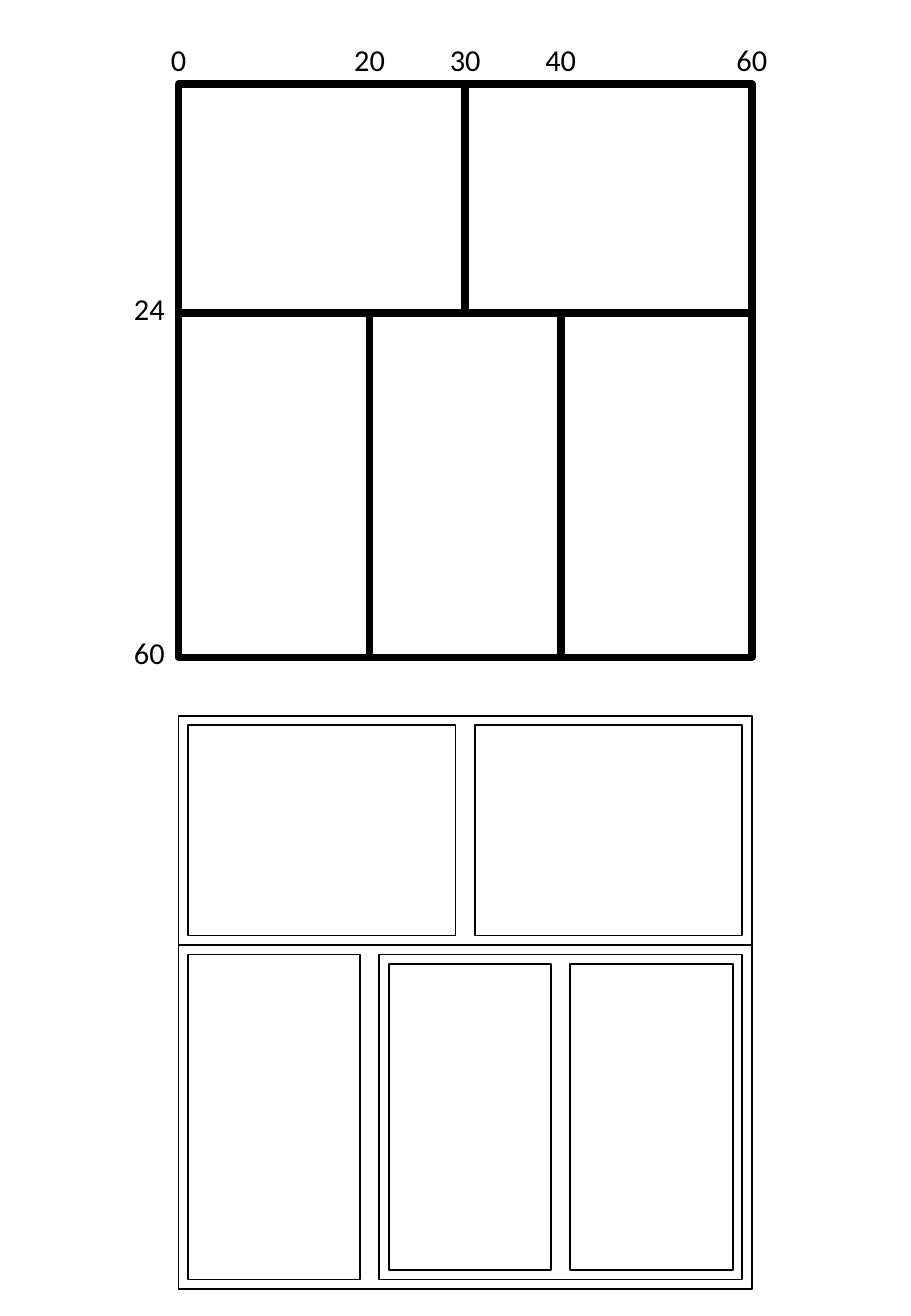
from pptx import Presentation
from pptx.dml.color import RGBColor
from pptx.enum.shapes import MSO_SHAPE
from pptx.enum.text import MSO_ANCHOR, PP_ALIGN
from pptx.util import Inches, Pt

COLORS = {"ink": "000000"}
FONT = "Calibri"

# Cells in grid units: left, top, right, bottom on a 60 by 60 square
GRID_CELLS = [
    (0, 0, 30, 24), (30, 0, 60, 24),
    (0, 24, 20, 60), (20, 24, 40, 60), (40, 24, 60, 60),
]
NESTED_CELLS = [
    (0, 0, 60, 24), (1, 1, 29, 23), (31, 1, 59, 23),
    (0, 24, 60, 60), (1, 25, 19, 59), (21, 25, 59, 59),
    (22, 26, 39, 58), (41, 26, 58, 58),
]
COLUMN_TICKS = [0, 20, 30, 40, 60]
ROW_TICKS = [24, 60]

# Layout in inches
SIDE = 4.72
UNIT = SIDE / 60
LEFT = 1.47
GRID_TOP, NESTED_TOP = 0.69, 5.89
LABEL_WIDTH, LABEL_HEIGHT = 0.46, 0.4
COLUMN_LABEL_Y = GRID_TOP - 0.2
ROW_LABEL_X = LEFT - 0.24
ROW_LABEL_RISE = 0.04

deck = Presentation()
deck.slide_width, deck.slide_height = Inches(7.5), Inches(10.83)
page = deck.slides.add_slide(deck.slide_layouts[6])
ink = RGBColor.from_string(COLORS["ink"])


def add_cells(cells, top_edge, line_width):
    for left, top, right, bottom in cells:
        cell = page.shapes.add_shape(
            MSO_SHAPE.RECTANGLE,
            Inches(LEFT + left * UNIT), Inches(top_edge + top * UNIT),
            Inches((right - left) * UNIT), Inches((bottom - top) * UNIT))
        cell.shadow.inherit = False
        cell.fill.background()
        cell.line.color.rgb = ink
        cell.line.width = Pt(line_width)


def add_label(value, center_x, center_y):
    box = page.shapes.add_textbox(
        Inches(center_x - LABEL_WIDTH / 2), Inches(center_y - LABEL_HEIGHT / 2),
        Inches(LABEL_WIDTH), Inches(LABEL_HEIGHT))
    frame = box.text_frame
    frame.word_wrap = False
    frame.vertical_anchor = MSO_ANCHOR.TOP
    para = frame.paragraphs[0]
    para.text = str(value)
    para.alignment = PP_ALIGN.CENTER
    para.font.name = FONT
    para.font.size = Pt(18)
    para.font.color.rgb = ink


# Heavy grid above, nested boxes below
add_cells(GRID_CELLS, GRID_TOP, 4.5)
add_cells(NESTED_CELLS, NESTED_TOP, 1)

# Tick labels along the top and left edges
for tick in COLUMN_TICKS:
    add_label(tick, LEFT + tick * UNIT, COLUMN_LABEL_Y)
for tick in ROW_TICKS:
    add_label(tick, ROW_LABEL_X, GRID_TOP + tick * UNIT - ROW_LABEL_RISE)

deck.save("out.pptx")
